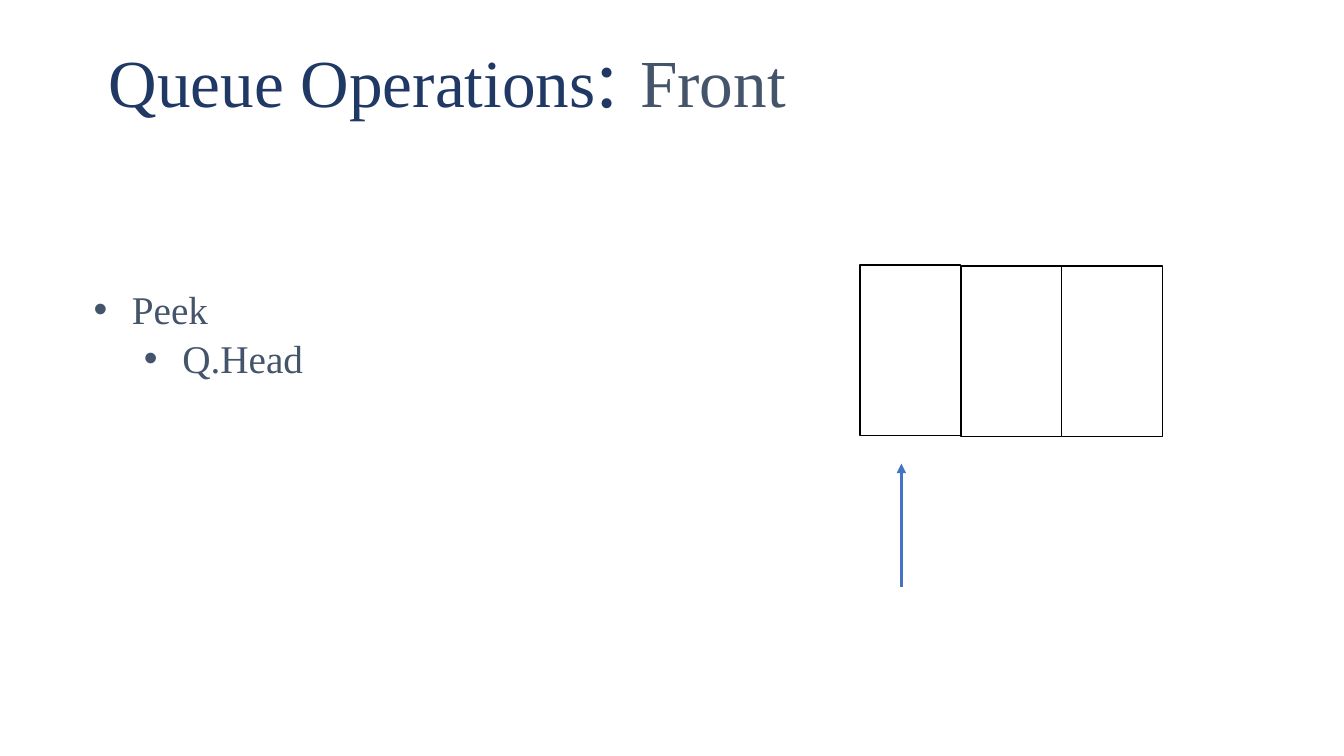
from dataclasses import dataclass
from lxml.etree import SubElement
from pptx import Presentation
from pptx.dml.color import RGBColor
from pptx.enum.shapes import MSO_CONNECTOR as Link, MSO_SHAPE as Kind
from pptx.enum.text import MSO_ANCHOR as Anchor
from pptx.oxml.ns import qn
from pptx.util import Pt

PX = 9144
NAVY = RGBColor(0x1F, 0x38, 0x64)
SLATE = RGBColor(0x44, 0x54, 0x6A)
BLUE = RGBColor(0x44, 0x72, 0xC4)
BLACK = RGBColor(0, 0, 0)
WHITE = RGBColor(255, 255, 255)
FONT = "Times New Roman"


@dataclass
class Run:
    text: str
    size: int
    color: RGBColor


@dataclass
class Line:
    runs: list[Run]
    level: int = 0
    bullet: bool = False


@dataclass
class Cell:
    left: int
    top: int


def add_dot(para, level: int) -> None:
    props = para._p.get_or_add_pPr()
    props.set("marL", str((38 + 50 * level) * PX))
    props.set("indent", str(-38 * PX))
    tint = SubElement(props, qn("a:buClr"))
    SubElement(tint, qn("a:srgbClr"), val=str(SLATE))
    SubElement(props, qn("a:buFont"), typeface="Arial")
    SubElement(props, qn("a:buChar"), char="•")


def add_text(slide, lines: list[Line], *, left: int, top: int, width: int,
             height: int, anchor=Anchor.TOP, space: float = 1.0) -> None:
    box = slide.shapes.add_textbox(left * PX, top * PX, width * PX, height * PX)
    frame = box.text_frame
    frame.word_wrap = True
    frame.vertical_anchor = anchor
    for i, line in enumerate(lines):
        para = frame.add_paragraph() if i else frame.paragraphs[0]
        para.level = line.level
        if line.bullet:
            add_dot(para, line.level)
        para.line_spacing = space
        for part in line.runs:
            run = para.add_run()
            run.text = part.text
            run.font.name = FONT
            run.font.size = Pt(part.size)
            run.font.color.rgb = part.color


def add_cell(slide, cell: Cell) -> None:
    rect = slide.shapes.add_shape(
        Kind.RECTANGLE, cell.left * PX, cell.top * PX, 100 * PX, 169 * PX)
    rect.shadow.inherit = False
    rect.fill.solid()
    rect.fill.fore_color.rgb = WHITE
    rect.line.color.rgb = BLACK
    rect.line.width = Pt(1)


def add_arrow(slide, x: int, start: int, end: int) -> None:
    arrow = slide.shapes.add_connector(
        Link.STRAIGHT, x * PX, start * PX, x * PX, end * PX)
    arrow.line.color.rgb = BLUE
    arrow.line.width = Pt(2.25)
    props = arrow._element.spPr
    SubElement(props.find(qn("a:ln")), qn("a:tailEnd"), type="triangle")
    SubElement(props, qn("a:effectLst"))


def main() -> None:
    deck = Presentation()
    deck.slide_width = 1333 * PX
    deck.slide_height = 750 * PX
    slide = deck.slides.add_slide(deck.slide_layouts[6])
    title = Line([Run("Queue Operations", 48, NAVY), Run(": ", 60, NAVY),
                  Run("Front", 48, SLATE)])
    add_text(slide, [title], left=98, top=27, width=1068, height=103,
             anchor=Anchor.BOTTOM, space=0.9)
    for cell in (Cell(853, 263), Cell(1053, 264), Cell(953, 264)):
        add_cell(slide, cell)
    add_arrow(slide, 894, 582, 460)
    steps = [Line([Run(word, 28, SLATE)], level, True)
             for level, word in enumerate(("Peek", "Q.Head"))]
    add_text(slide, steps, left=83, top=276, width=667, height=151, space=1.04)
    deck.save("out.pptx")


if __name__ == "__main__":
    main()
